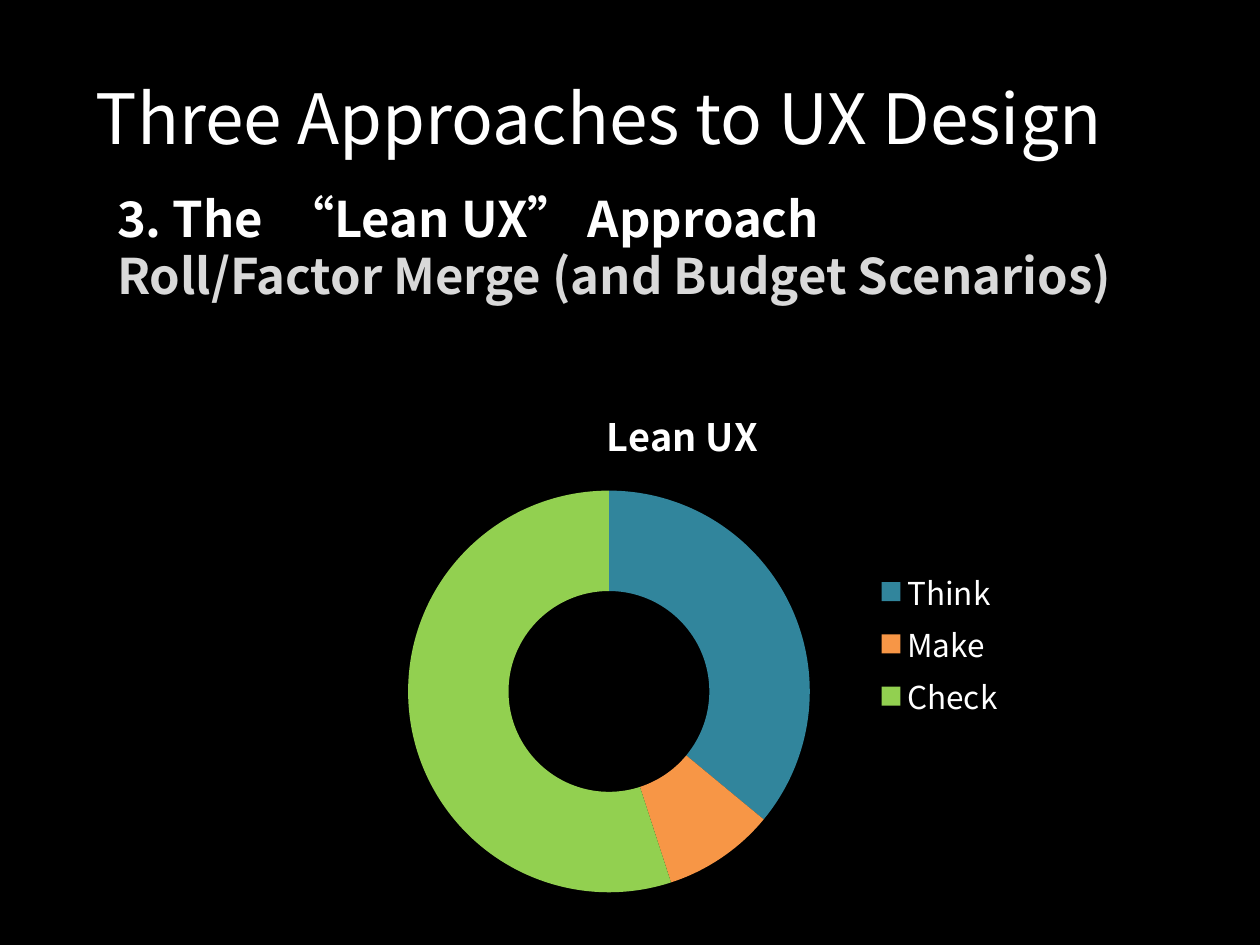
"""Build the Lean UX slide: a title, two heading lines and a doughnut chart."""
from pptx import Presentation
from pptx.chart.data import CategoryChartData
from pptx.enum.chart import XL_CHART_TYPE, XL_LEGEND_POSITION
from pptx.enum.text import MSO_ANCHOR, PP_ALIGN
from pptx.dml.color import RGBColor
from pptx.util import Cm, Pt

DOUGHNUT = XL_CHART_TYPE.DOUGHNUT
RIGHT = XL_LEGEND_POSITION.RIGHT
MIDDLE, TOP = MSO_ANCHOR.MIDDLE, MSO_ANCHOR.TOP
CENTER, LEFT = PP_ALIGN.CENTER, PP_ALIGN.LEFT

COLORS = {"black": "000000", "white": "FFFFFF", "grey": "D9D9D9",
          "teal": "31859C", "orange": "F79646", "green": "92D050"}
TC, SC = "Noto Sans CJK TC", "Noto Sans CJK SC"

TITLE = [("Three Approaches to UX Design", "white")]
HEADINGS = [("3. The  “Lean UX” Approach", "white"),
            ("Roll/Factor Merge (and Budget Scenarios)", "grey")]
CHART_TITLE = "Lean UX"
SLICES = [("Think", 36, "teal"), ("Make", 9, "orange"), ("Check", 55, "green")]


def rgb(name):
    return RGBColor.from_string(COLORS[name])


def style(font, name, size, color, bold=False):
    font.name, font.size, font.bold = name, Pt(size), bold
    font.color.rgb = rgb(color)


def add_text(s, box, lines, name, size, bold, align, anchor, spacing, gap):
    tf = s.shapes.add_textbox(*map(Cm, box)).text_frame
    tf.word_wrap, tf.vertical_anchor = True, anchor
    for i, (text, color) in enumerate(lines):
        p = tf.add_paragraph() if i else tf.paragraphs[0]
        p.text, p.alignment, p.line_spacing = text, align, spacing
        p.space_before = Pt(gap if i else 0)
        style(p.font, name, size, color, bold)


def add_doughnut(s, box):
    data = CategoryChartData()
    data.categories = [label for label, _, _ in SLICES]
    data.add_series(CHART_TITLE, [value for _, value, _ in SLICES])
    chart = s.shapes.add_chart(DOUGHNUT, *map(Cm, box), data).chart
    style(chart.font, "Calibri", 18, "white")
    chart.has_title = True
    p = chart.chart_title.text_frame.paragraphs[0]
    p.text = CHART_TITLE
    style(p.font, TC, 21.6, "white", True)
    chart.has_legend = True
    chart.legend.position = RIGHT
    chart.legend.include_in_layout = False
    style(chart.legend.font, TC, 18, "white")
    plot = chart.plots[0]
    plot.vary_by_categories = True
    for i, (_, _, color) in enumerate(SLICES):
        fill = plot.series[0].points[i].format.fill
        fill.solid()
        fill.fore_color.rgb = rgb(color)


def main():
    prs = Presentation()
    prs.slide_width, prs.slide_height = Cm(25.4), Cm(19.05)
    s = prs.slides.add_slide(prs.slide_layouts[6])
    s.background.fill.solid()
    s.background.fill.fore_color.rgb = rgb("black")
    add_text(s, (0.64, 0.76, 22.86, 3.18), TITLE, TC, 39.6, False,
             CENTER, MIDDLE, 1, 0)
    add_text(s, (2.11, 3.81, 22.81, 13.64), HEADINGS, SC, 28, True,
             LEFT, TOP, 0.9, 2.5)
    add_doughnut(s, (6.99, 7.62, 13.54, 10.72))
    prs.save("out.pptx")


if __name__ == "__main__":
    main()
